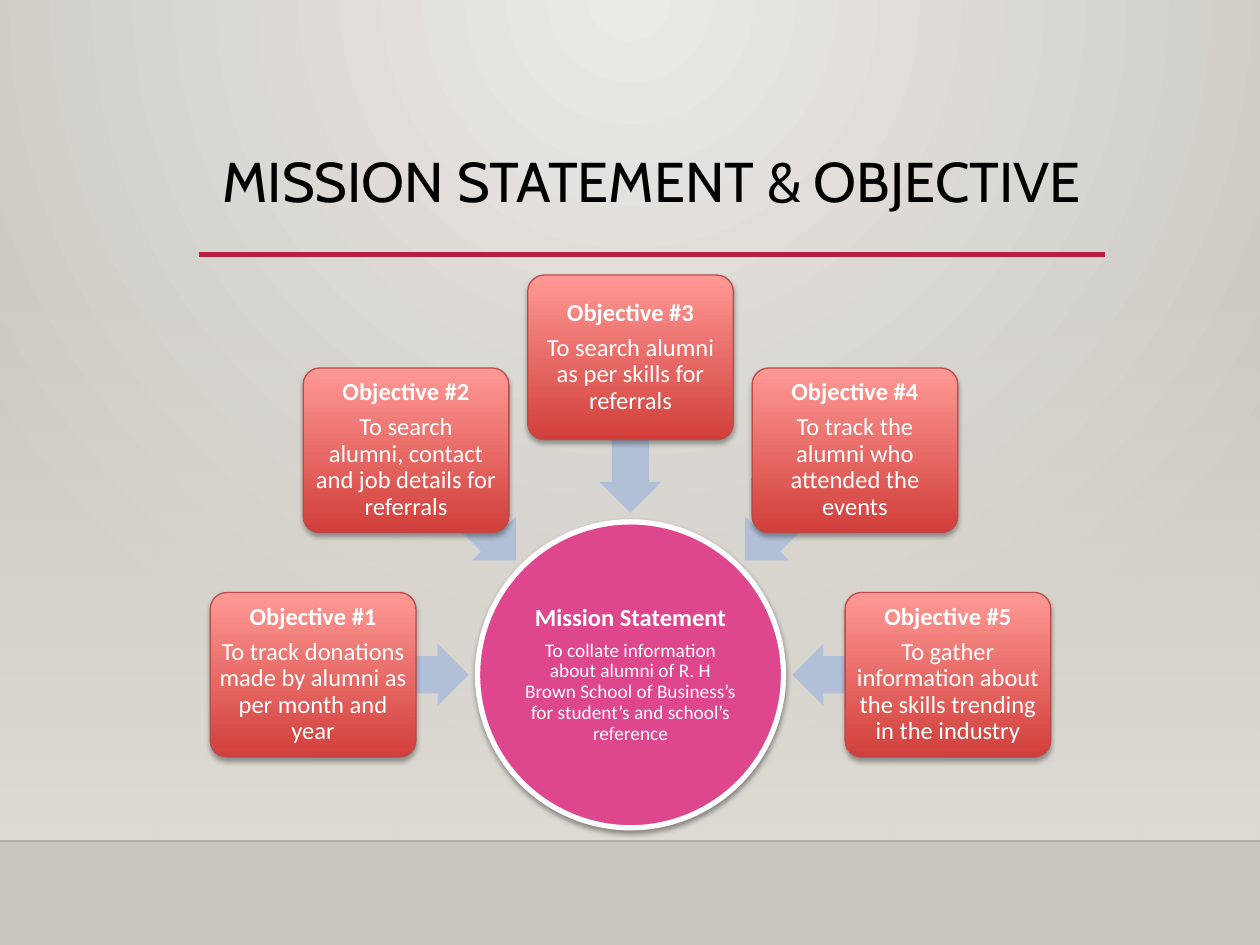
from math import cos, radians, sin

from lxml.etree import SubElement
from pptx import Presentation
from pptx.dml.color import RGBColor
from pptx.enum.shapes import MSO_CONNECTOR, MSO_SHAPE
from pptx.enum.text import MSO_ANCHOR, PP_ALIGN
from pptx.oxml.ns import qn
from pptx.util import Pt

BLACK = RGBColor(0, 0, 0)
WHITE = RGBColor(255, 255, 255)
PALE = RGBColor(0xEC, 0xEA, 0xE7)
STONE = RGBColor(0xCA, 0xC7, 0xC1)
SAND = RGBColor(0xDF, 0xDB, 0xD5)
WINE = RGBColor(0xB7, 0x1E, 0x42)
PINK = RGBColor(0xDE, 0x47, 0x8E)
ROSE = RGBColor(0xFF, 0x99, 0x95)
RED = RGBColor(0xD1, 0x3F, 0x3B)
BRICK = RGBColor(0xBD, 0x4B, 0x48)
BLUE = RGBColor(0xB1, 0xC0, 0xD7)

GOALS = [
    "To track donations made by alumni as per month and year",
    "To search alumni,\u00a0contact and job details for referrals",
    "To search\u00a0alumni as per skills for referrals",
    "To track the alumni who attended the events",
    "To gather information about the skills trending in the industry",
]
MISSION = ("To collate information about alumni of R. H Brown School of "
           "Business\u2019s for student\u2019s and school\u2019s reference")


def fade(item, share):
    for tone in item.iter(qn("a:srgbClr")):
        SubElement(tone, qn("a:alpha"), val=str(share * 1000))


def blend(fill, first, last):
    fill.gradient()
    fill.gradient_angle = 270
    for stop, tone, place in zip(fill.gradient_stops, (first, last), (0, 1)):
        stop.color.rgb = tone
        stop.position = place


def shade(shape, share, drop):
    glow = shape.element.spPr.find(qn("a:effectLst"))
    cast = SubElement(glow, qn("a:outerShdw"), blurRad=str(Pt(3.1)),
                      dist=str(Pt(drop)), dir="5400000", rotWithShape="0")
    SubElement(cast, qn("a:srgbClr"), val=str(BLACK))
    fade(cast, share)


def form(slide, kind, box, fill=None, line=None, width=1):
    shape = slide.shapes.add_shape(kind, *map(Pt, box))
    shape.shadow.inherit = False
    if fill:
        shape.fill.solid()
        shape.fill.fore_color.rgb = fill
    if line:
        shape.line.color.rgb = line
        shape.line.width = Pt(width)
    else:
        shape.line.fill.background()
    return shape


def rule(slide, left, top, width, tone, weight):
    line = slide.shapes.add_connector(
        MSO_CONNECTOR.STRAIGHT, Pt(left), Pt(top), Pt(left + width), Pt(top))
    line.line.color.rgb = tone
    line.line.width = Pt(weight)
    SubElement(line.element.spPr, qn("a:effectLst"))
    return line


def write(para, text, size=14, font="Calibri", tone=WHITE, bold=False, gap=0):
    para.alignment = PP_ALIGN.CENTER
    para.line_spacing = 0.9
    para.space_before = Pt(gap)
    run = para.add_run()
    run.text = text
    run.font.size = Pt(size)
    run.font.name = font
    run.font.bold = bold
    run.font.color.rgb = tone


def setup(shape, side, end):
    frame = shape.text_frame
    frame.word_wrap = True
    frame.vertical_anchor = MSO_ANCHOR.MIDDLE
    frame.margin_left = frame.margin_right = Pt(side)
    frame.margin_top = frame.margin_bottom = Pt(end)
    return frame


def label(shape, head, body, size, inset):
    frame = setup(shape, inset, inset)
    write(frame.paragraphs[0], head, bold=True)
    write(frame.add_paragraph(), body, size=size, gap=4.9)


def centre(x, y, width, height):
    return x - width / 2, y - height / 2, width, height


def backdrop(slide, left, top, width, height):
    blend(slide.background.fill, PALE, STONE)
    grad = slide.element.find(".//" + qn("a:gradFill"))
    grad.remove(grad.find(qn("a:lin")))
    ring = SubElement(grad, qn("a:path"), path="circle")
    SubElement(ring, qn("a:fillToRect"), l="43000", t="0", r="43000", b="100000")
    floor = top + height * 0.89
    start = top + 158.4
    veil = form(slide, MSO_SHAPE.RECTANGLE, (left, start, width, floor - start))
    blend(veil.fill, SAND, SAND)
    fade(veil.element.find(".//" + qn("a:gs")), 0)
    edge = rule(slide, left, floor, width, BLACK, 1)
    fade(edge.element.spPr, 20)


def header(slide, left, top, width, height):
    rule(slide, left, top + height - 1.5, width, WINE, 2.5)
    box = slide.shapes.add_textbox(Pt(left), Pt(top), Pt(width), Pt(height))
    frame = setup(box, 7.2, 3.6)
    write(frame.paragraphs[0], "MISSION STATEMENT & OBJECTIVE",
          size=32, font="Cabin", tone=BLACK)


def wheel(slide, left, top, width, height):
    x, y = left + width / 2, top + height - 87.4
    hub = form(slide, MSO_SHAPE.OVAL, centre(x, y, 174.8, 174.8), PINK, WHITE, 3)
    shade(hub, 38, 1.6)
    label(hub, "Mission Statement", MISSION, 11, 0.9)
    for index, goal in enumerate(GOALS):
        turn = 180 + 45 * index
        dx, dy = cos(radians(turn)), sin(radians(turn))
        arrow = form(slide, MSO_SHAPE.LEFT_ARROW,
                     centre(x + 136.8 * dx, y + 136.8 * dy, 88.6, 35.5), BLUE)
        arrow.adjustments[0] = 0.6
        arrow.adjustments[1] = 0.5
        arrow.rotation = turn % 360
        card = form(slide, MSO_SHAPE.ROUNDED_RECTANGLE,
                    centre(x + 181.4 * dx, y + 181.4 * dy, 117.5, 94),
                    line=BRICK, width=0.75)
        card.adjustments[0] = 0.1
        blend(card.fill, ROSE, RED)
        shade(card, 35, 1.8)
        label(card, f"Objective #{index + 1}", goal, 14, 2.2)


deck = Presentation()
deck.slide_width, deck.slide_height = Pt(720), Pt(540)
page = deck.slides.add_slide(deck.slide_layouts[6])
backdrop(page, 0, 0, 720, 540)
header(page, 113.8, 63.4, 517.7, 83.5)
wheel(page, 120.2, 157.2, 480.2, 315.8)
deck.save("out.pptx")
